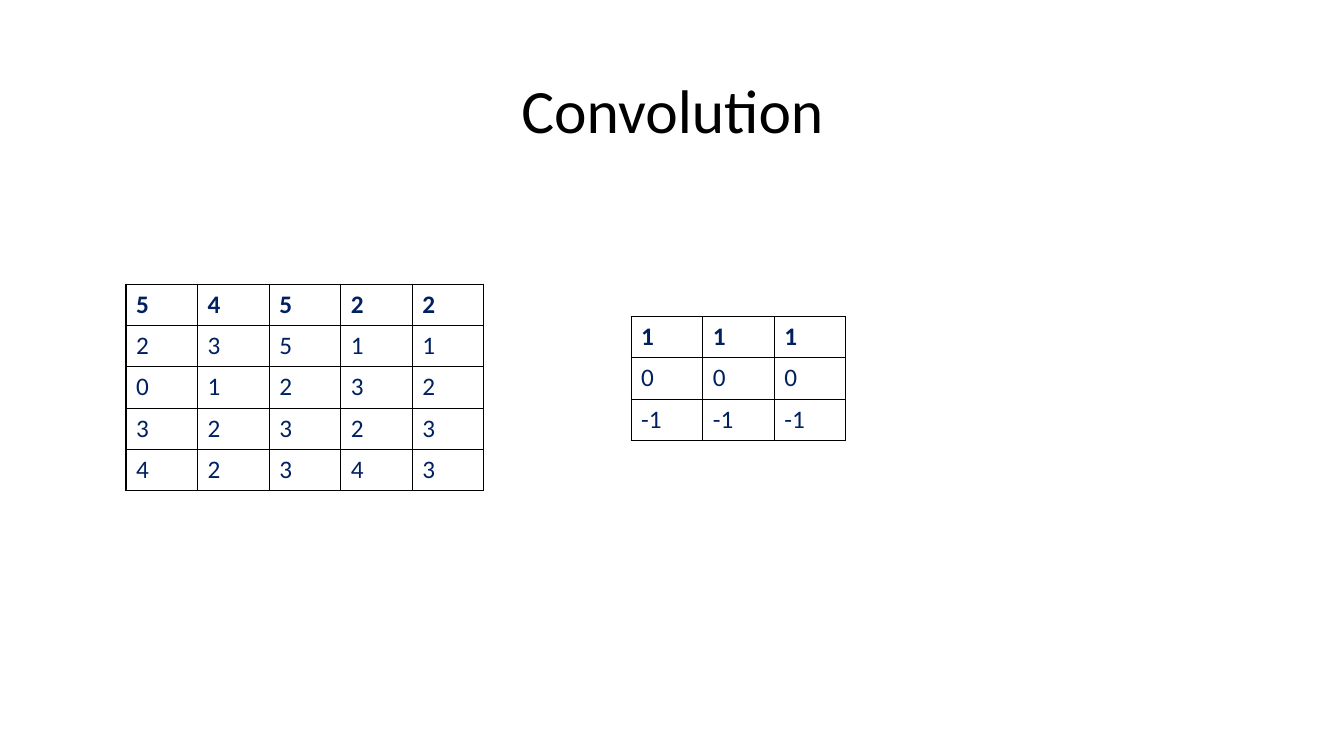
from lxml.etree import SubElement
from pptx import Presentation
from pptx.dml.color import RGBColor
from pptx.enum.text import MSO_ANCHOR, PP_ALIGN
from pptx.oxml.ns import qn
from pptx.util import Inches, Pt

BLACK = RGBColor(0x00, 0x00, 0x00)
NAVY = RGBColor(0x00, 0x20, 0x60)
FONT = "Calibri"

# Size of one matrix cell, in inches
COLUMN, ROW = 0.71, 0.41

IMAGE = [
    [5, 4, 5, 2, 2],
    [2, 3, 5, 1, 1],
    [0, 1, 2, 3, 2],
    [3, 2, 3, 2, 3],
    [4, 2, 3, 4, 3],
]
KERNEL = [[value] * 3 for value in (1, 0, -1)]


def set_font(font, size, color, bold=False):
    font.name, font.size, font.bold = FONT, Pt(size), bold
    font.color.rgb = color


def add_title(page, text, left, top, width, height):
    box = page.shapes.add_textbox(*map(Inches, (left, top, width, height)))
    frame = box.text_frame
    frame.word_wrap = True
    frame.vertical_anchor = MSO_ANCHOR.MIDDLE
    para = frame.paragraphs[0]
    para.text = text
    para.alignment = PP_ALIGN.CENTER
    para.line_spacing = 0.9
    set_font(para.font, 44, BLACK)


def add_borders(cell):
    properties = cell._tc.get_or_add_tcPr()
    for position, side in enumerate(("a:lnL", "a:lnR", "a:lnT", "a:lnB")):
        line = SubElement(properties, qn(side), w=str(Pt(1)))
        properties.insert(position, line)
        fill = SubElement(line, qn("a:solidFill"))
        SubElement(fill, qn("a:srgbClr"), val=str(BLACK))


def add_matrix(page, values, left, top):
    rows, columns = len(values), len(values[0])
    size = columns * COLUMN, rows * ROW
    frame = page.shapes.add_table(rows, columns, *map(Inches, (left, top, *size)))
    table = frame.table
    table.horz_banding = False
    for column in table.columns:
        column.width = Inches(COLUMN)
    for row_number, row in enumerate(values):
        table.rows[row_number].height = Inches(ROW)
        for column_number, value in enumerate(row):
            cell = table.cell(row_number, column_number)
            cell.fill.background()
            add_borders(cell)
            para = cell.text_frame.paragraphs[0]
            para.text = str(value)
            set_font(para.font, 18, NAVY, bold=row_number == 0)


def main():
    deck = Presentation()
    deck.slide_width, deck.slide_height = Inches(13.33), Inches(7.5)
    page = deck.slides.add_slide(deck.slide_layouts[6])

    # Heading
    add_title(page, "Convolution", 0.92, 0.4, 11.5, 1.45)

    # Input matrix and its filter
    add_matrix(page, IMAGE, 1.25, 2.82)
    add_matrix(page, KERNEL, 6.26, 3.14)

    deck.save("out.pptx")


if __name__ == "__main__":
    main()
